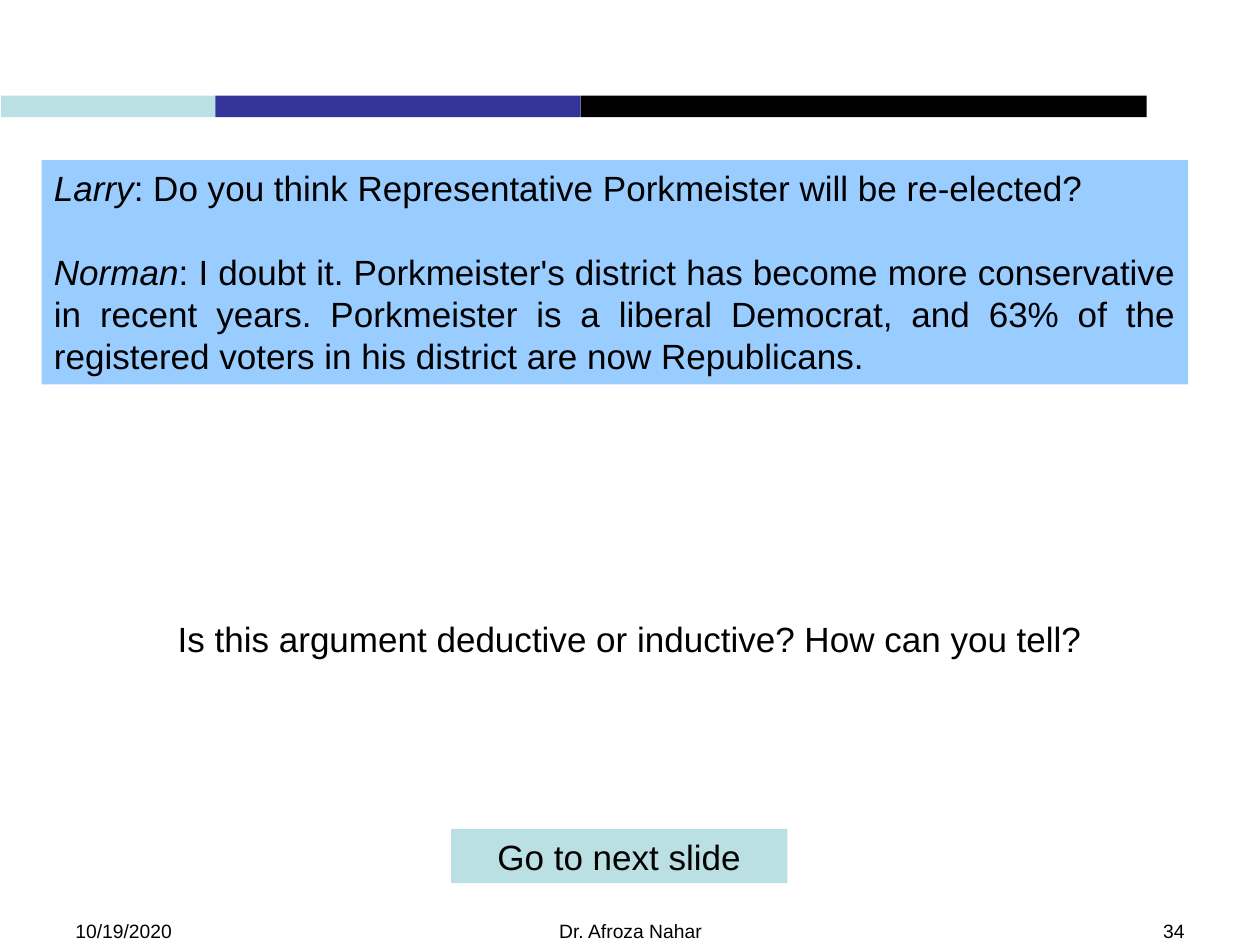
from pptx import Presentation
from pptx.dml.color import RGBColor
from pptx.enum.shapes import MSO_SHAPE
from pptx.enum.text import MSO_ANCHOR, PP_ALIGN
from pptx.util import Inches, Pt

RECT = MSO_SHAPE.RECTANGLE
TOP, MIDDLE = MSO_ANCHOR.TOP, MSO_ANCHOR.MIDDLE
LEFT, CENTER, RIGHT, JUSTIFY = PP_ALIGN.LEFT, PP_ALIGN.CENTER, PP_ALIGN.RIGHT, PP_ALIGN.JUSTIFY
COLORS = {"pale": "BBE0E3", "navy": "333399", "black": "000000", "sky": "99CCFF"}

deck = Presentation()
deck.slide_width, deck.slide_height = Inches(10), Inches(7.5)
page = deck.slides.add_slide(deck.slide_layouts[6])


def add_bar(left, top, width, height, color):
    bar = page.shapes.add_shape(RECT, Inches(left), Inches(top), Inches(width), Inches(height))
    bar.shadow.inherit = False
    bar.fill.solid()
    bar.fill.fore_color.rgb = RGBColor.from_string(COLORS[color])
    bar.line.fill.background()
    return bar


def write(box, paragraphs, size, align, anchor=TOP, line=None, gap=0):
    """Each paragraph is a list of (text, italic) pairs."""
    frame = box.text_frame
    frame.word_wrap = True
    frame.vertical_anchor = anchor
    for index, spans in enumerate(paragraphs):
        para = frame.add_paragraph() if index else frame.paragraphs[0]
        para.alignment = align
        para.font.name = "Arial"
        para.font.size = Pt(size)
        para.font.color.rgb = RGBColor.from_string(COLORS["black"])
        if line:
            para.line_spacing = Pt(line)
        if index:
            para.space_before = Pt(gap)
        for text, italic in spans:
            span = para.add_run()
            span.text = text
            if italic:
                span.font.italic = True


# Header stripe
left = 0.01
for width, color in [(1.7, "pale"), (2.9, "navy"), (4.49, "black")]:
    add_bar(left, 0.76, width, 0.17, color)
    left += width

# Footer
for left, width, text, align in [
    (0.5, 2.33, "10/19/2020", LEFT),
    (3.42, 3.17, "Dr. Afroza Nahar", CENTER),
    (7.17, 2.33, "34", RIGHT),
]:
    footer = page.shapes.add_textbox(Inches(left), Inches(7.25), Inches(width), Inches(0.4))
    write(footer, [[(text, False)]], 11, align)

# Dialogue
dialogue = add_bar(0.33, 1.27, 9.1, 1.78, "sky")
write(dialogue, [
    [("Larry", True),
     (": Do you think Representative Porkmeister will be re-elected?", False)],
    [("Norman", True),
     (": I doubt it. Porkmeister's district has become more conservative in recent years. "
      "Porkmeister is a liberal Democrat, and 63% of the registered voters in his district "
      "are now Republicans.", False)],
], 20, JUSTIFY, line=24, gap=24)

# Question
question = page.shapes.add_textbox(Inches(0), Inches(4.52), Inches(10), Inches(1.1))
write(question, [[("Is this argument deductive or inductive? How can you tell?", False)]],
      20, CENTER, MIDDLE, line=24)

# Next-slide button
button = add_bar(3.58, 6.58, 2.67, 0.43, "pale")
write(button, [[("Go to next slide", False)]], 20, CENTER, line=24)

deck.save("out.pptx")
